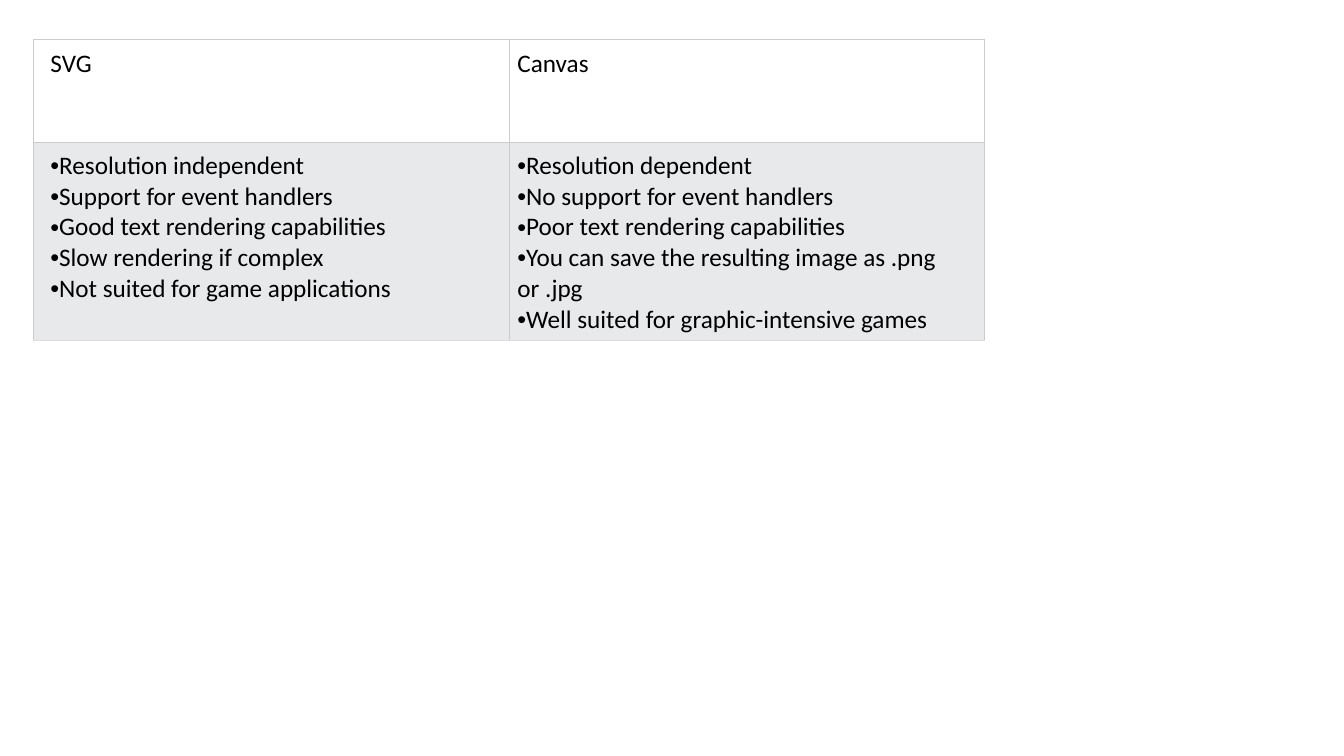
from dataclasses import dataclass

import pptx
import pptx.dml.color
import pptx.oxml
import pptx.oxml.ns
import pptx.util
from lxml import etree

Pt = pptx.util.Pt


@dataclass(frozen=True)
class Theme:
    """Colours and type of the slide."""

    font: str = "Calibri"
    bullet_font: str = "Arial"
    size: float = 18
    text: str = "000000"
    header_fill: str = "FFFFFF"
    body_fill: str = "E7E9EB"
    border: str = "CCCCCC"
    bottom_border: str = "DDDDDD"
    border_width: float = 0.75


THEME = Theme()
HEADINGS = ["SVG", "Canvas"]
FEATURES = [
    [
        "Resolution independent",
        "Support for event handlers",
        "Good text rendering capabilities",
        "Slow rendering if complex",
        "Not suited for game applications",
    ],
    [
        "Resolution dependent",
        "No support for event handlers",
        "Poor text rendering capabilities",
        "You can save the resulting image as .png or .jpg",
        "Well suited for graphic-intensive games",
    ],
]
LEFT_INSETS = [12, 6]
INSET = 6
BOTTOM_INSET = 4
COLUMN_WIDTH = 339.6
ROW_HEIGHTS = [73, 141.4]


def color(value):
    """Return a colour object for a hex string."""
    return pptx.dml.color.RGBColor.from_string(value)


def add_child(parent, tag, **attributes):
    """Append a drawing element and return it."""
    return etree.SubElement(parent, pptx.oxml.ns.qn(tag), attributes)


def set_borders(cell, bottom):
    """Draw the four borders of a cell."""
    properties = cell._tc.get_or_add_tcPr()
    sides = {"L": THEME.border, "R": THEME.border, "T": THEME.border, "B": bottom}
    for side, value in sides.items():
        line = add_child(properties, f"a:ln{side}", w=str(Pt(THEME.border_width)))
        fill = add_child(line, "a:solidFill")
        add_child(fill, "a:srgbClr", val=value)


def add_bullet(para):
    """Give a paragraph a round bullet."""
    properties = para._p.get_or_add_pPr()
    add_child(properties, "a:buFont", typeface=THEME.bullet_font)
    add_child(properties, "a:buChar", char="•")


def fill_cell(cell, lines, left_inset, fill, bottom, bulleted):
    """Format a cell and write its lines, bulleted if asked."""
    set_borders(cell, bottom)
    cell.fill.solid()
    cell.fill.fore_color.rgb = color(fill)
    cell.margin_left = Pt(left_inset)
    cell.margin_top = cell.margin_right = Pt(INSET)
    cell.margin_bottom = Pt(BOTTOM_INSET)
    cell.text = "\n".join(lines)
    for para in cell.text_frame.paragraphs:
        if bulleted:
            add_bullet(para)
        para.font.name = THEME.font
        para.font.size = Pt(THEME.size)
        para.font.color.rgb = color(THEME.text)


def add_comparison(page):
    """Add the table that compares the two technologies."""
    frame = page.shapes.add_table(
        len(ROW_HEIGHTS), len(HEADINGS), Pt(24), Pt(28.5),
        Pt(COLUMN_WIDTH * len(HEADINGS)), Pt(sum(ROW_HEIGHTS)),
    )
    table = frame.table
    table.first_row = table.horz_banding = False
    for row, height in zip(table.rows, ROW_HEIGHTS):
        row.height = Pt(height)
    for index, (heading, features, inset) in enumerate(zip(HEADINGS, FEATURES, LEFT_INSETS)):
        table.columns[index].width = Pt(COLUMN_WIDTH)
        fill_cell(table.cell(0, index), [heading], inset, THEME.header_fill, THEME.border, False)
        fill_cell(table.cell(1, index), features, inset, THEME.body_fill, THEME.bottom_border, True)


def main():
    """Build and save the slide."""
    deck = pptx.Presentation()
    deck.slide_width, deck.slide_height = Pt(960), Pt(540)
    page = deck.slides.add_slide(deck.slide_layouts.get_by_name("Blank"))
    add_comparison(page)
    deck.save("out.pptx")


if __name__ == "__main__":
    main()
